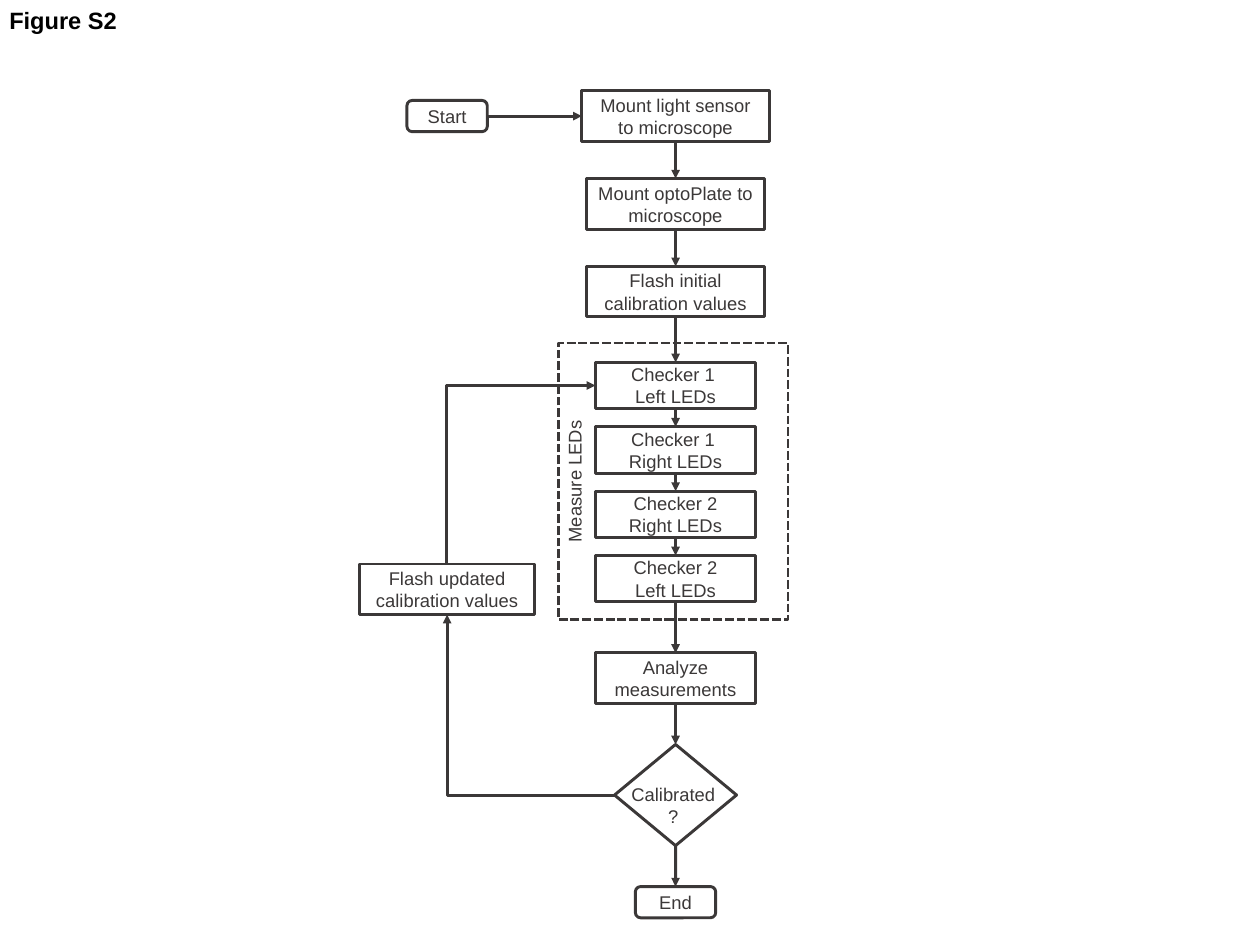
from lxml import etree
from pptx import Presentation
from pptx.dml.color import RGBColor
from pptx.enum.dml import MSO_LINE
from pptx.enum.shapes import MSO_CONNECTOR, MSO_SHAPE
from pptx.enum.text import MSO_ANCHOR, PP_ALIGN
from pptx.oxml.ns import qn
from pptx.util import Cm, Pt

RECTANGLE = MSO_SHAPE.RECTANGLE
ROUNDED = MSO_SHAPE.ROUNDED_RECTANGLE
DIAMOND = MSO_SHAPE.DIAMOND
STRAIGHT, ELBOW = MSO_CONNECTOR.STRAIGHT, MSO_CONNECTOR.ELBOW
LEFT, CENTER = PP_ALIGN.LEFT, PP_ALIGN.CENTER
TOP, MIDDLE = MSO_ANCHOR.TOP, MSO_ANCHOR.MIDDLE
SQUARE_DASH = MSO_LINE.SQUARE_DOT
TOP_SIDE, LEFT_SIDE, BOTTOM_SIDE, RIGHT_SIDE = range(4)

INK = "3B3838"
MAIN_X = 18.16
LOOP_X = 12.02


def write_text(shape, text, size=14, color=INK, bold=False, align=CENTER, anchor=MIDDLE):
    frame = shape.text_frame
    frame.word_wrap = True
    frame.vertical_anchor = anchor
    frame.text = text
    for paragraph in frame.paragraphs:
        paragraph.alignment = align
        paragraph.font.name = "Arial"
        paragraph.font.size = Pt(size)
        paragraph.font.bold = bold
        paragraph.font.color.rgb = RGBColor.from_string(color)


def style_outline(item):
    item.line.color.rgb = RGBColor.from_string(INK)
    item.line.width = Pt(2.25)


presentation = Presentation()
presentation.slide_width = Cm(33.87)
presentation.slide_height = Cm(25.4)
slide = presentation.slides.add_slide(presentation.slide_layouts[6])
shapes = slide.shapes

steps = [
    ("start", "Start", ROUNDED, LOOP_X, 2.7, 2.16, 0.84),
    ("sensor", "Mount light sensor to microscope", RECTANGLE, MAIN_X, 2.44, 5.04, 1.36),
    ("plate", "Mount optoPlate to microscope", RECTANGLE, MAIN_X, 4.8, 4.8, 1.36),
    ("initial", "Flash initial calibration values", RECTANGLE, MAIN_X, 7.16, 4.8, 1.36),
    ("analyze", "Analyze measurements", RECTANGLE, MAIN_X, 17.55, 4.29, 1.36),
    ("decision", None, DIAMOND, MAIN_X, 20.01, 3.28, 2.72),
    ("end", "End", ROUNDED, MAIN_X, 23.83, 2.16, 0.84),
    ("updated", "Flash updated calibration values", RECTANGLE, LOOP_X, 15.16, 4.7, 1.36),
    ("measure", "Measure LEDs", RECTANGLE, MAIN_X - 0.06, 9.22, 6.17, 7.44),
]
checks = ["Checker 1 \nLeft LEDs", "Checker 1 \nRight LEDs", "Checker 2\nRight LEDs", "Checker 2\nLeft LEDs"]
for index, text in enumerate(checks):
    steps.append((f"check {index + 1}", text, RECTANGLE, MAIN_X, 9.74 + 1.73 * index, 4.29, 1.25))

boxes = {}
for key, text, kind, center, top, width, height in steps:
    box = shapes.add_shape(kind, Cm(center - width / 2), Cm(top), Cm(width), Cm(height))
    box.shadow.inherit = False
    box.fill.background()
    style_outline(box)
    if text:
        write_text(box, text)
    boxes[key] = box

measure = boxes["measure"]
measure.line.dash_style = SQUARE_DASH
measure.text_frame.vertical_anchor = TOP
measure.text_frame._txBody.bodyPr.set("vert", "vert270")

connectors = []
flow = ["sensor", "plate", "initial", "check 1", "check 2", "check 3", "check 4", "analyze", "decision", "end"]
links = [("start", RIGHT_SIDE, "sensor", LEFT_SIDE)]
links += [(first, BOTTOM_SIDE, second, TOP_SIDE) for first, second in zip(flow, flow[1:])]
for first, first_side, second, second_side in links:
    connector = shapes.add_connector(STRAIGHT, 0, 0, 0, 0)
    connector.begin_connect(boxes[first], first_side)
    connector.end_connect(boxes[second], second_side)
    connectors.append(connector)

elbows = [
    (LOOP_X, 16.52, 16.52, 21.37, 180),
    (16.41, 14.76, 11.61, 10.77, 90),
]
for begin_x, begin_y, end_x, end_y, angle in elbows:
    connector = shapes.add_connector(ELBOW, Cm(begin_x), Cm(begin_y), Cm(end_x), Cm(end_y))
    properties = connector._element.spPr
    properties.find(qn("a:prstGeom")).set("prst", "bentConnector2")
    properties.find(qn("a:xfrm")).set("rot", str(angle * 60000))
    connectors.append(connector)

for connector in connectors:
    style_outline(connector)
    etree.SubElement(connector.line._get_or_add_ln(), qn("a:tailEnd"), type="triangle")
    etree.SubElement(connector._element.spPr, qn("a:effectLst"))

question = shapes.add_textbox(Cm(16.6), Cm(20.93), Cm(3), Cm(1.45))
write_text(question, "Calibrated?", anchor=TOP)

title = shapes.add_textbox(Cm(0), Cm(0.04), Cm(4.8), Cm(1.02))
write_text(title, "Figure S2", size=18, color="000000", bold=True, align=LEFT, anchor=TOP)

presentation.save("out.pptx")
